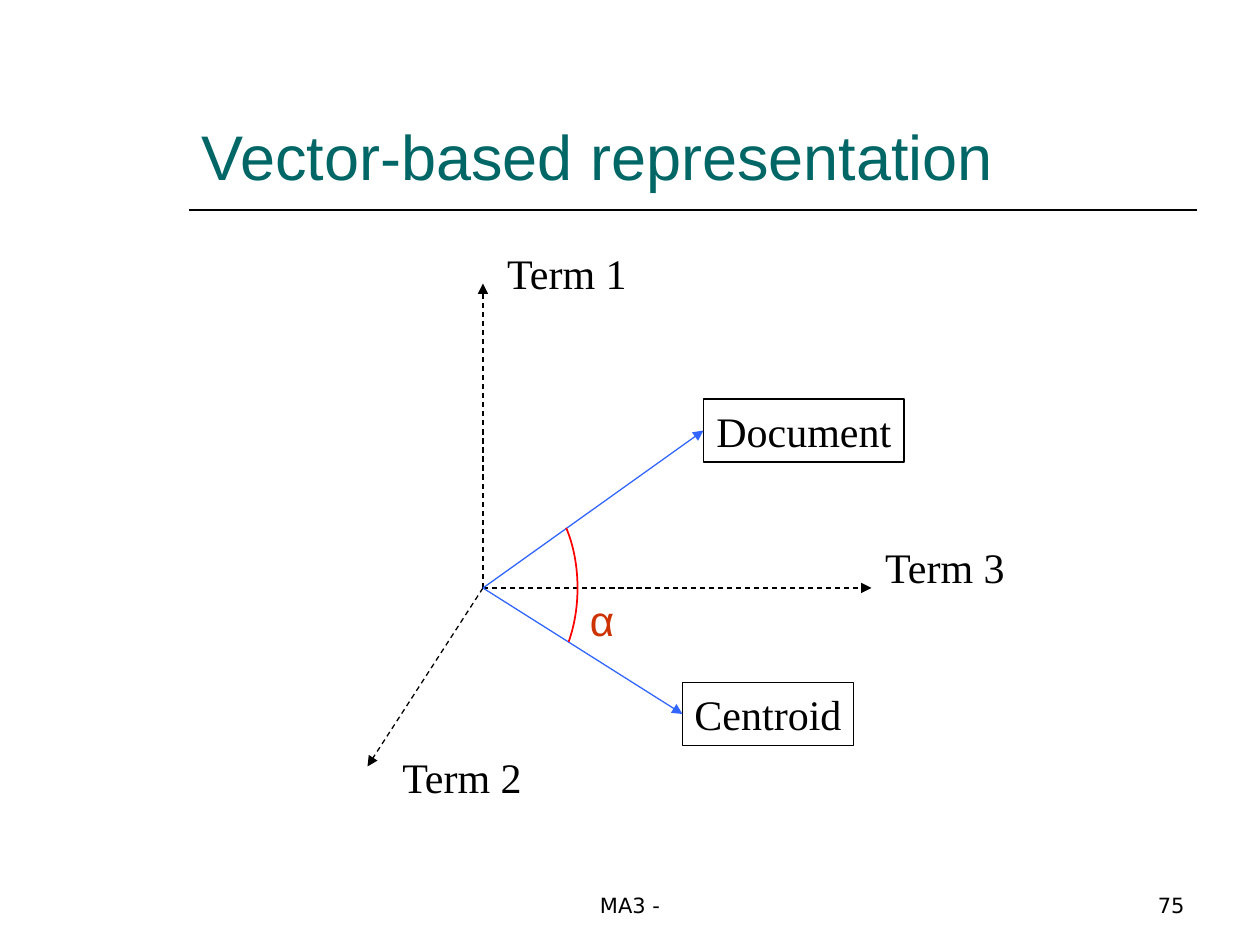
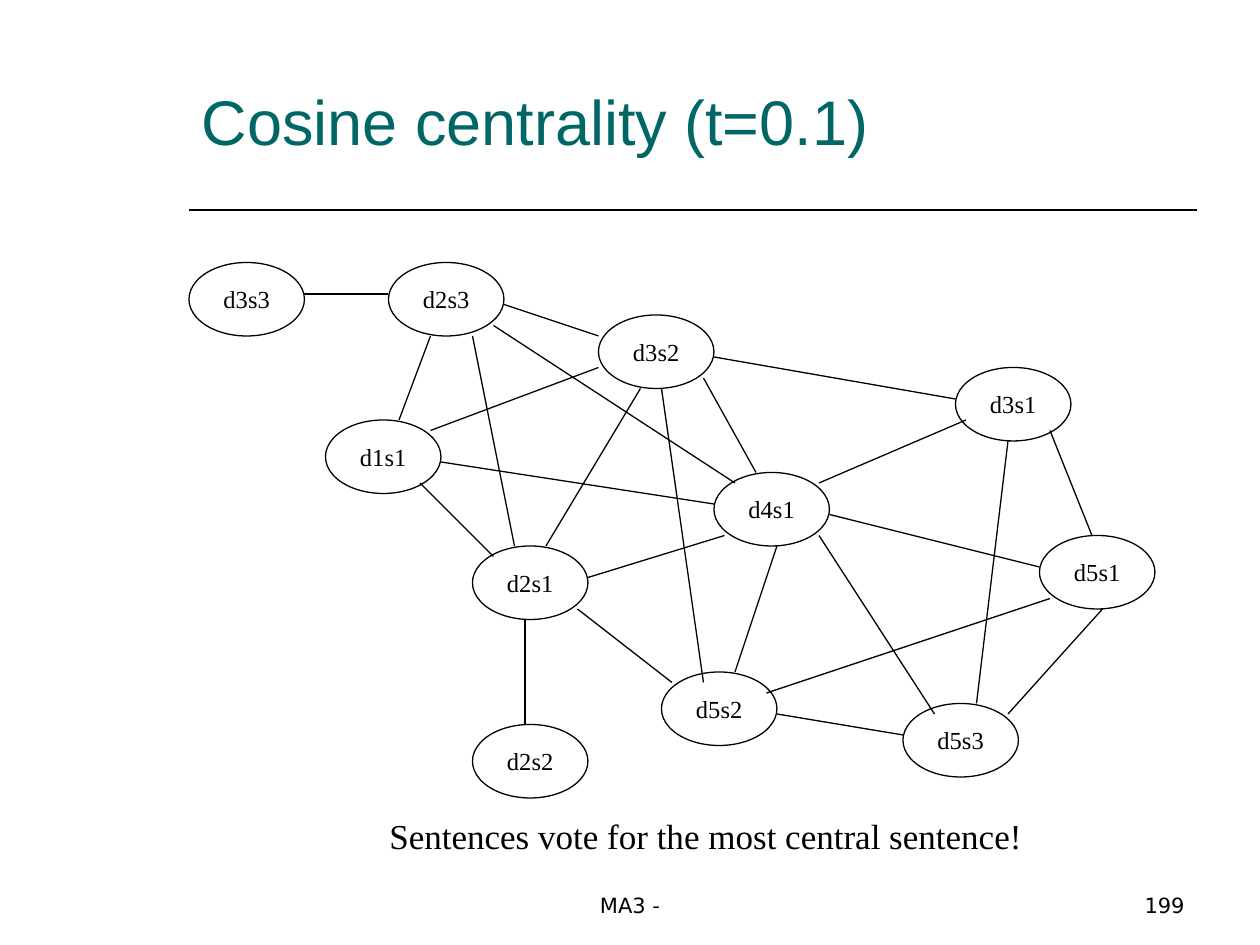
from lxml import etree
from pptx import Presentation
from pptx import util as u
from pptx.dml.color import RGBColor
from pptx.enum import dml, shapes, text
from pptx.oxml import ns

TEAL = RGBColor(0x00, 0x66, 0x66)
BLACK = RGBColor(0x00, 0x00, 0x00)
BLUE = RGBColor(0x33, 0x66, 0xFF)
RED = RGBColor(0xFF, 0x00, 0x00)
RUST = RGBColor(0xCC, 0x33, 0x00)

CELL = 2.54 / 12
TITLE_ONLY = 5
NODE_SIZE = (11, 7)
ARC_START, ARC_END = 302.7, 52.7
DEGREE = 0.6

TITLE_FONT = {"name": "Arial", "size": u.Pt(36)}
TERM_FONT = {"name": "Times New Roman", "size": u.Pt(24)}
ANGLE_FONT = {"name": "Arial", "size": u.Pt(24)}
NODE_FONT = {"name": "Times New Roman", "size": u.Pt(14)}
CAPTION_FONT = {"name": "Times New Roman", "size": u.Pt(20)}
FOOTER_FONT = {"name": "DejaVu Sans", "size": u.Pt(12)}

LEFT, CENTER, RIGHT = text.PP_ALIGN.LEFT, text.PP_ALIGN.CENTER, text.PP_ALIGN.RIGHT
TOP, MIDDLE, BOTTOM = (
    text.MSO_ANCHOR.TOP,
    text.MSO_ANCHOR.MIDDLE,
    text.MSO_ANCHOR.BOTTOM,
)

AXES = [
    ("Term 1", (46, 27), (47, 23)),
    ("Term 2", (35, 73), (37, 71)),
    ("Term 3", (83, 56), (83, 51)),
]
VECTORS = [("Document", (67, 38, 19.1, 6)), ("Centroid", (65, 65, 16.3, 6))]
ORIGIN = (46, 56)

SENTENCES = {
    "d4s1": (68, 45),
    "d1s1": (31, 40),
    "d3s2": (57, 30),
    "d3s1": (91, 35),
    "d2s3": (37, 25),
    "d3s3": (18, 25),
    "d2s1": (45, 52),
    "d2s2": (45, 69),
    "d5s2": (63, 64),
    "d5s3": (86, 67),
    "d5s1": (99, 51),
}
SIMILARITIES = [
    ((29, 28), (37, 28)),
    ((41, 32), (38, 40)),
    ((48, 29), (57, 32)),
    ((40, 46), (47, 53)),
    ((52, 52), (61, 37)),
    ((45, 32), (49, 52)),
    ((50, 59), (50, 69)),
    ((55, 58), (64, 65)),
    ((63, 37), (67, 65)),
    ((41, 41), (57, 35)),
    ((47, 31), (70, 46)),
    ((42, 44), (68, 48)),
    ((56, 55), (69, 51)),
    ((74, 52), (70, 64)),
    ((78, 51), (89, 68)),
    ((74, 68), (86, 70)),
    ((96, 68), (105, 58)),
    ((96, 42), (93, 67)),
    ((100, 41), (104, 51)),
    ((68, 34), (91, 38)),
    ((67, 36), (72, 45)),
    ((79, 49), (99, 54)),
    ((73, 66), (100, 57)),
    ((78, 46), (92, 40)),
]


def grid(*cells):
    return [u.Cm(cell * CELL) for cell in cells]


def set_all(target, values):
    for name, value in values.items():
        setattr(target, name, value)


def write(holder, words, font, color=BLACK, align=CENTER, anchor=MIDDLE, wrap=False):
    frame = holder.text_frame
    frame.text = words
    set_all(frame, {
        "word_wrap": wrap,
        "vertical_anchor": anchor,
        "auto_size": text.MSO_AUTO_SIZE.NONE,
    })
    paragraph = frame.paragraphs[0]
    paragraph.alignment = align
    set_all(paragraph.font, font)
    paragraph.font.color.rgb = color


def add_label(slide, box, words, font, **style):
    write(slide.shapes.add_textbox(*grid(*box)), words, font, **style)


def add_outline(slide, kind, box, color=BLACK, width=0.75):
    outline = slide.shapes.add_shape(kind, *grid(*box))
    outline.shadow.inherit = False
    outline.fill.background()
    outline.line.color.rgb = color
    outline.line.width = u.Pt(width)
    return outline


def add_line(slide, start, end, color=BLACK, width=0.75, dashed=False, arrow=False):
    line = slide.shapes.add_connector(
        shapes.MSO_CONNECTOR.STRAIGHT, *grid(*start, *end)
    )
    line.line.color.rgb = color
    line.line.width = u.Pt(width)
    if dashed:
        line.line.dash_style = dml.MSO_LINE.DASH
    if arrow:
        etree.SubElement(line.line._ln, ns.qn("a:tailEnd"), type="triangle")
    etree.SubElement(line._element.spPr, ns.qn("a:effectLst"))
    return line


def add_slide(deck, title, number, anchor):
    slide = deck.slides.add_slide(deck.slide_layouts[TITLE_ONLY])
    heading = slide.shapes.title
    left, top, width, height = grid(18, 4, 96, 15)
    set_all(heading, {"left": left, "top": top, "width": width, "height": height})
    write(heading, title, TITLE_FONT, TEAL, LEFT, anchor, wrap=True)
    add_line(slide, (18, 20), (114, 20), width=1)
    add_label(slide, (41, 82, 38, 6), "MA3 -", FOOTER_FONT, anchor=BOTTOM, wrap=True)
    add_label(slide, (86, 82, 28, 6), number, FOOTER_FONT,
              align=RIGHT, anchor=BOTTOM, wrap=True)
    return slide


def draw_vector_space(slide):
    for term, tip, corner in AXES:
        add_line(slide, ORIGIN, tip, dashed=True, arrow=True)
        add_label(slide, (*corner, 14, 6), term, TERM_FONT)
    for name, box in VECTORS:
        target = add_outline(slide, shapes.MSO_SHAPE.RECTANGLE, box)
        write(target, name, TERM_FONT)
        left, top, _, height = box
        vector = add_line(slide, ORIGIN, (left, top + height / 2), BLUE, arrow=True)
        vector.end_connect(target, 1)
    angle = add_outline(slide, shapes.MSO_SHAPE.ARC, (45.5, 47, 9.5, 18), RED, 1)
    angle.adjustments[0] = ARC_START * DEGREE
    angle.adjustments[1] = ARC_END * DEGREE
    add_label(slide, (55, 56, 6, 6), "α", ANGLE_FONT,
              color=RUST, align=LEFT, anchor=TOP, wrap=True)


def draw_sentence_graph(slide):
    for sentence, corner in SENTENCES.items():
        node = add_outline(slide, shapes.MSO_SHAPE.OVAL, (*corner, *NODE_SIZE))
        write(node, sentence, NODE_FONT)
    for start, end in SIMILARITIES:
        add_line(slide, start, end)
    add_label(slide, (35.9, 77, 62.6, 5.3),
              "Sentences vote for the most central sentence!",
              CAPTION_FONT, align=LEFT, anchor=TOP)


def main():
    deck = Presentation()
    deck.slide_width, deck.slide_height = u.Cm(25.4), u.Cm(19.05)
    draw_vector_space(add_slide(deck, "Vector-based representation", "75", BOTTOM))
    draw_sentence_graph(add_slide(deck, "Cosine centrality (t=0.1)", "199", MIDDLE))
    deck.save("out.pptx")


if __name__ == "__main__":
    main()
